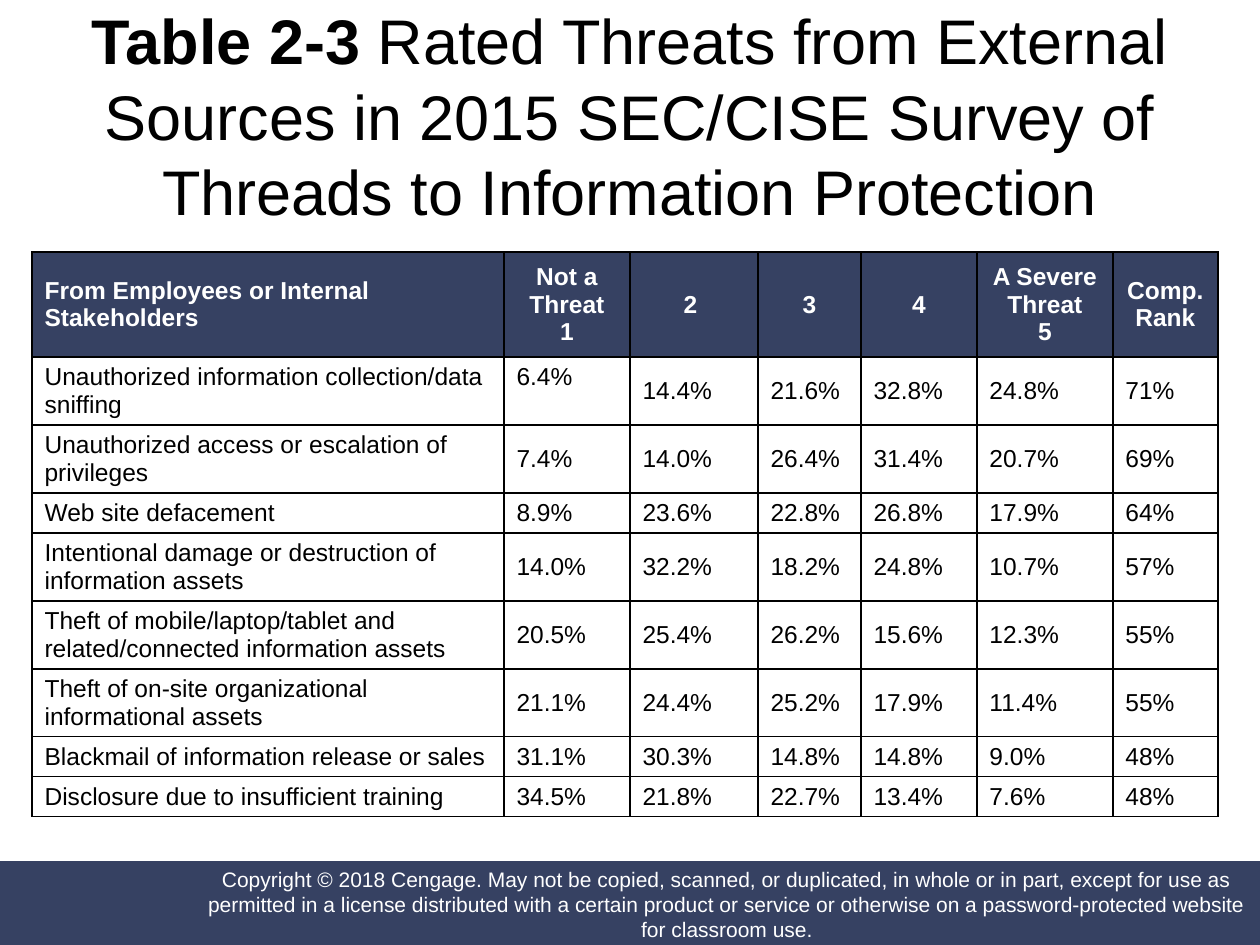
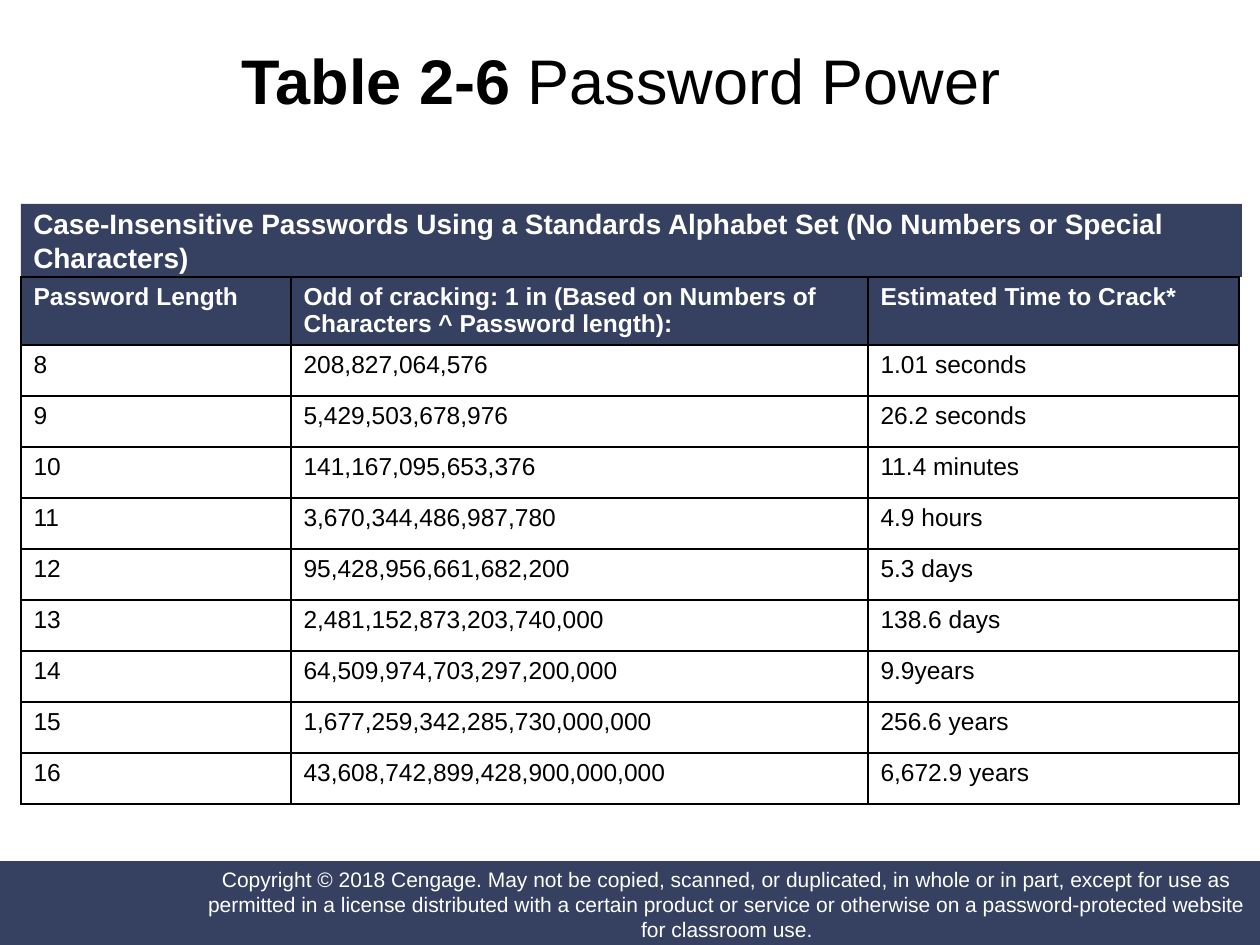
from collections import namedtuple

from lxml import etree
from pptx import Presentation
from pptx.dml.color import RGBColor
from pptx.enum.shapes import MSO_SHAPE
from pptx.enum.text import MSO_ANCHOR, PP_ALIGN
from pptx.oxml.ns import qn
from pptx.util import Emu, Pt

RECTANGLE = MSO_SHAPE.RECTANGLE
TOP, MIDDLE = MSO_ANCHOR.TOP, MSO_ANCHOR.MIDDLE
LEFT, CENTER = PP_ALIGN.LEFT, PP_ALIGN.CENTER

EMU_PER_PX = 914400 / 126
SLIDE_WIDTH, SLIDE_HEIGHT = 1260, 945
NAVY, WHITE, BLACK = "364162", "FFFFFF", "000000"
FONT = "Arial"
TITLE_SIZE, BAND_SIZE, TABLE_SIZE, FOOTER_SIZE = 36, 16, 14, 12
BORDER_WIDTH = Pt(1)
BORDER_SIDES = ("a:lnL", "a:lnR", "a:lnT", "a:lnB")
CELL_MARGINS = {TOP: (6, 2), MIDDLE: (4, 4)}

Box = namedtuple("Box", "left top width height")

COPYRIGHT = (
    "Copyright © 2018 Cengage. May not be copied, scanned, or duplicated, in whole or in part, "
    "except for use as permitted in a license distributed with a certain product or service or "
    "otherwise on a password-protected website for classroom use."
)

THREAT_COLUMNS = [472, 126, 128, 103, 116, 136, 105]
THREAT_ROW_HEIGHTS = [105, 68, 68, 40, 68, 68, 68, 40, 40]
THREAT_ROWS = [
    ["From Employees or Internal Stakeholders", "Not a Threat\n1", "2 ", "3", "4",
     "A Severe Threat\n5", "Comp. Rank"],
    ["Unauthorized information collection/data sniffing",
     "6.4%", "14.4%", "21.6%", "32.8%", "24.8%", "71%"],
    ["Unauthorized access or escalation of privileges",
     "7.4%", "14.0%", "26.4%", "31.4%", "20.7%", "69%"],
    ["Web site defacement",
     "8.9%", "23.6%", "22.8%", "26.8%", "17.9%", "64%"],
    ["Intentional damage or destruction of information assets",
     "14.0%", "32.2%", "18.2%", "24.8%", "10.7%", "57%"],
    ["Theft of mobile/laptop/tablet and related/connected information assets",
     "20.5%", "25.4%", "26.2%", "15.6%", "12.3%", "55%"],
    ["Theft of on-site organizational informational assets",
     "21.1%", "24.4%", "25.2%", "17.9%", "11.4%", "55%"],
    ["Blackmail of information release or sales",
     "31.1%", "30.3%", "14.8%", "14.8%", "9.0%", "48%"],
    ["Disclosure due to insufficient training",
     "34.5%", "21.8%", "22.7%", "13.4%", "7.6%", "48%"],
]

PASSWORD_COLUMNS = [270, 577, 371]
PASSWORD_ROWS = [
    ["Password Length",
     "Odd of cracking: 1 in (Based on Numbers of Characters ^ Password length):",
     "Estimated Time to Crack*"],
    ["8", "208,827,064,576", "1.01 seconds"],
    ["9", "5,429,503,678,976", "26.2 seconds"],
    ["10", "141,167,095,653,376", "11.4 minutes"],
    ["11", "3,670,344,486,987,780", "4.9 hours"],
    ["12", "95,428,956,661,682,200", "5.3 days"],
    ["13", "2,481,152,873,203,740,000", "138.6 days"],
    ["14", "64,509,974,703,297,200,000", "9.9years"],
    ["15", "1,677,259,342,285,730,000,000", "256.6 years"],
    ["16", "43,608,742,899,428,900,000,000", "6,672.9 years"],
]
PASSWORD_ROW_HEIGHTS = [68] + [51] * (len(PASSWORD_ROWS) - 1)


def px(length):
    return Emu(round(length * EMU_PER_PX))


def color(hex_string):
    return RGBColor.from_string(hex_string)


def place(box):
    return [px(length) for length in box]


def add_run(paragraph, text, size, hex_string, bold=False):
    run = paragraph.add_run()
    run.text = text
    run.font.name = FONT
    run.font.size = Pt(size)
    run.font.bold = bold
    run.font.color.rgb = color(hex_string)


def add_bar(slide, box):
    bar = slide.shapes.add_shape(RECTANGLE, *place(box))
    bar.shadow.inherit = False
    bar.fill.solid()
    bar.fill.fore_color.rgb = color(NAVY)
    bar.line.fill.background()
    bar.text_frame.word_wrap = True
    return bar


def add_footer(slide, box):
    add_bar(slide, box)
    notice_box = Box(box.left + 205, box.top + 3, box.width - 215, box.height - 4)
    frame = add_bar(slide, notice_box).text_frame
    frame.margin_left = frame.margin_right = frame.margin_top = frame.margin_bottom = 0
    frame.vertical_anchor = MIDDLE
    paragraph = frame.paragraphs[0]
    paragraph.alignment = CENTER
    add_run(paragraph, COPYRIGHT, FOOTER_SIZE, WHITE)


def add_title(slide, box, number, subject):
    frame = slide.shapes.add_textbox(*place(box)).text_frame
    frame.word_wrap = True
    frame.vertical_anchor = MIDDLE
    paragraph = frame.paragraphs[0]
    paragraph.alignment = CENTER
    add_run(paragraph, number, TITLE_SIZE, BLACK, bold=True)
    add_run(paragraph, subject, TITLE_SIZE, BLACK)


def add_band(slide, box, text):
    frame = add_bar(slide, box).text_frame
    frame.margin_top = px(3)
    frame.margin_bottom = 0
    frame.vertical_anchor = TOP
    paragraph = frame.paragraphs[0]
    paragraph.alignment = LEFT
    add_run(paragraph, text, BAND_SIZE, WHITE, bold=True)


def set_borders(cell):
    properties = cell._tc.get_or_add_tcPr()
    for position, side in enumerate(BORDER_SIDES):
        line = etree.Element(qn(side), w=str(BORDER_WIDTH))
        fill = etree.SubElement(line, qn("a:solidFill"))
        etree.SubElement(fill, qn("a:srgbClr"), val=BLACK)
        properties.insert(position, line)


def anchor_cell(cell, anchor):
    cell.vertical_anchor = anchor
    cell.margin_top, cell.margin_bottom = [px(margin) for margin in CELL_MARGINS[anchor]]


def fill_cell(cell, text, is_header, alignment):
    if is_header:
        cell.fill.solid()
        cell.fill.fore_color.rgb = color(NAVY)
    else:
        cell.fill.background()
    set_borders(cell)
    frame = cell.text_frame
    for index, line in enumerate(text.split("\n")):
        paragraph = frame.add_paragraph() if index else frame.paragraphs[0]
        paragraph.alignment = alignment
        add_run(paragraph, line, TABLE_SIZE, WHITE if is_header else BLACK, bold=is_header)


def add_grid(slide, left, top, columns, heights, rows, anchor, header_alignment):
    box = Box(left, top, sum(columns), sum(heights))
    table = slide.shapes.add_table(len(rows), len(columns), *place(box)).table
    table.horz_banding = False
    for column, width in zip(table.columns, columns):
        column.width = px(width)
    for row, height in zip(table.rows, heights):
        row.height = px(height)
    for row_index, texts in enumerate(rows):
        is_header = row_index == 0
        for column_index, text in enumerate(texts):
            cell = table.cell(row_index, column_index)
            alignment = header_alignment if is_header and column_index else LEFT
            fill_cell(cell, text, is_header, alignment)
            anchor_cell(cell, anchor)
    return table


def add_base_slide(presentation):
    slide = presentation.slides.add_slide(presentation.slide_layouts[6])
    slide.background.fill.solid()
    slide.background.fill.fore_color.rgb = color(WHITE)
    add_footer(slide, Box(-1, 861, 1261, 84))
    return slide


def build_threat_slide(presentation):
    slide = add_base_slide(presentation)
    add_title(slide, Box(0, 10, SLIDE_WIDTH, 210), "Table 2-3 ",
              "Rated Threats from External Sources in 2015 SEC/CISE Survey of "
              "Threads to Information Protection")
    table = add_grid(slide, 32, 252, THREAT_COLUMNS, THREAT_ROW_HEIGHTS, THREAT_ROWS,
                     MIDDLE, CENTER)
    anchor_cell(table.cell(1, 1), TOP)


def build_password_slide(presentation):
    slide = add_base_slide(presentation)
    add_title(slide, Box(0, 21, SLIDE_WIDTH, 116), "Table 2-6", " Password Power ")
    add_band(slide, Box(21, 204, 1221, 73),
             "Case-Insensitive Passwords Using a Standards Alphabet Set "
             "(No Numbers or Special Characters)")
    add_grid(slide, 21, 277, PASSWORD_COLUMNS, PASSWORD_ROW_HEIGHTS, PASSWORD_ROWS, TOP, LEFT)


def main():
    presentation = Presentation()
    presentation.slide_width = px(SLIDE_WIDTH)
    presentation.slide_height = px(SLIDE_HEIGHT)
    build_threat_slide(presentation)
    build_password_slide(presentation)
    presentation.save("out.pptx")


if __name__ == "__main__":
    main()
